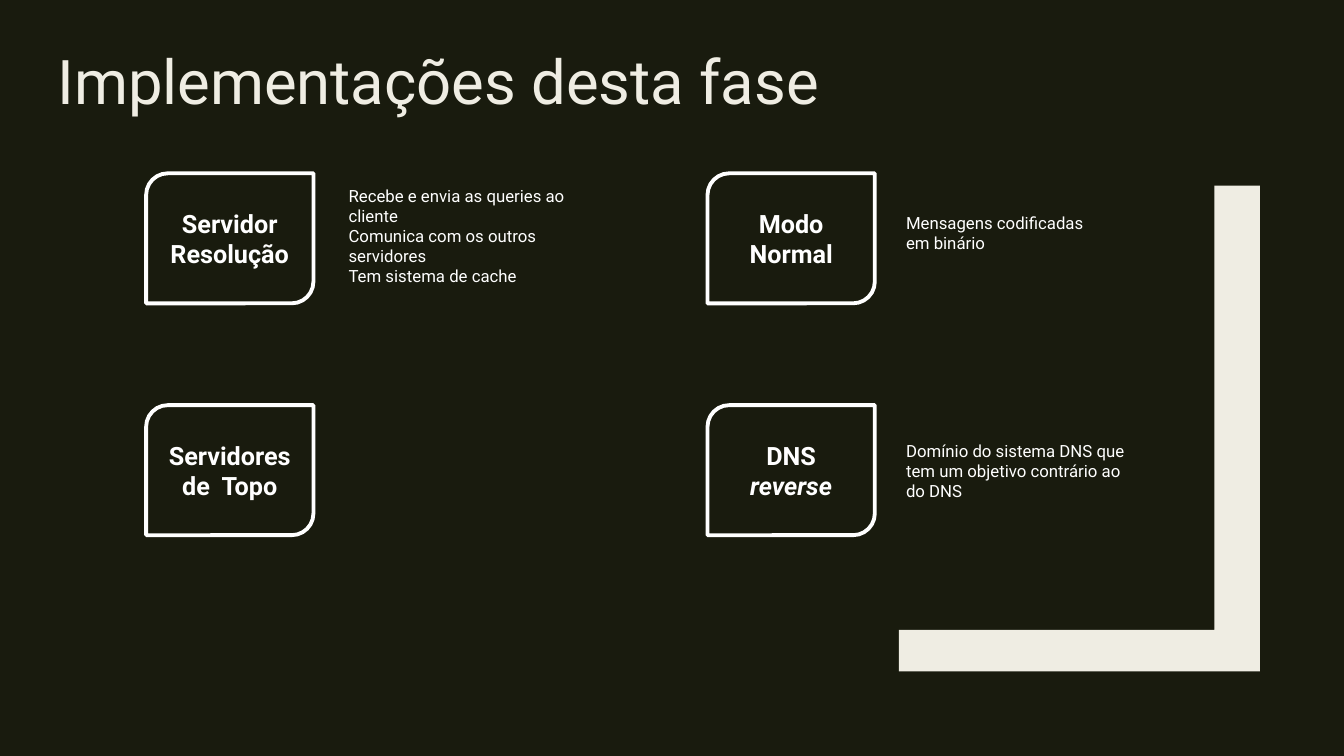
from pptx import Presentation
from pptx.dml.color import RGBColor
from pptx.enum.shapes import MSO_SHAPE as Shape
from pptx.enum.text import MSO_ANCHOR as Anchor, MSO_AUTO_SIZE as AutoSize, PP_ALIGN as Align
from pptx.util import Pt

DARK = RGBColor(0x19, 0x1B, 0x0E)
CREAM = RGBColor(0xEF, 0xED, 0xE3)
WHITE = RGBColor(0xFF, 0xFF, 0xFF)
FONT = "Roboto"

COLUMNS = (104.4, 505.4)
ROWS = (123.8, 289.4)
CARD_WIDTH, CARD_HEIGHT = 119.5, 92.9

# column, row, lines of the label, description and its box (offset x, offset y, width, height)
TOPICS = [
    (0, 0, [["Servidor"], ["Resolução"]],
     ["Recebe e envia as queries ao cliente",
      "Comunica com os outros servidores",
      "Tem sistema de cache"], (137.5, 5.1, 170.6, 79.9)),
    (0, 1, [["Servidores de  Topo"]], None, None),
    (1, 0, [["Modo Normal"]],
     ["Mensagens codificadas em binário"], (134.7, 24.5, 156.2, 36)),
    (1, 1, [["DNS ", "reverse"]],
     ["Domínio do sistema DNS que tem um objetivo contrário ao do DNS"],
     (134.7, 21.6, 171.4, 51.1)),
]


def style_run(run, size, color, bold=False):
    run.font.name = FONT
    run.font.size = Pt(size)
    run.font.color.rgb = color
    run.font.bold = bold


def add_corner(slide, left, top, width, height, post=32.4, foot=29.7):
    """Draw the L-shaped bracket that opens to the upper left."""
    right, bottom = left + width, top + height
    outline = [(right, top), (right, bottom), (left, bottom),
               (left, bottom - foot), (right - post, bottom - foot)]
    builder = slide.shapes.build_freeform(Pt(right - post), Pt(top))
    builder.add_line_segments([(Pt(x), Pt(y)) for x, y in outline])
    corner = builder.convert_to_shape()
    corner.shadow.inherit = False
    corner.fill.solid()
    corner.fill.fore_color.rgb = CREAM
    corner.line.fill.background()


def add_title(slide, left, top, width, height):
    title = slide.shapes.title
    title.left, title.top, title.width, title.height = map(Pt, (left, top, width, height))
    frame = title.text_frame
    frame.text = "Implementações desta fase"
    frame.vertical_anchor = Anchor.TOP
    frame.auto_size = AutoSize.NONE
    heading = frame.paragraphs[0]
    heading.alignment = Align.LEFT
    heading.line_spacing = 1.12
    style_run(heading.runs[0], 44, CREAM)


def add_card(slide, left, top, label):
    """Draw an outlined card; the second run of a label line is italic."""
    card = slide.shapes.add_shape(Shape.ROUND_2_DIAG_RECTANGLE, Pt(left), Pt(top),
                                  Pt(CARD_WIDTH), Pt(CARD_HEIGHT))
    card.shadow.inherit = False
    card.fill.background()
    card.line.color.rgb = WHITE
    card.line.width = Pt(2.75)
    frame = card.text_frame
    frame.word_wrap = True
    frame.vertical_anchor = Anchor.MIDDLE
    for index, pieces in enumerate(label):
        line = frame.add_paragraph() if index else frame.paragraphs[0]
        line.alignment = Align.CENTER
        for position, piece in enumerate(pieces):
            run = line.add_run()
            run.text = piece
            style_run(run, 18, WHITE, bold=True)
            run.font.italic = position > 0


def add_description(slide, left, top, width, height, sentences):
    description = slide.shapes.add_textbox(Pt(left), Pt(top), Pt(width), Pt(height))
    frame = description.text_frame
    frame.word_wrap = True
    frame.auto_size = AutoSize.SHAPE_TO_FIT_TEXT
    frame.text = "\n".join(sentences)
    for sentence in frame.paragraphs:
        style_run(sentence.runs[0], 12, WHITE)


def add_topic(slide, left, top, label, sentences, box):
    add_card(slide, left, top, label)
    if sentences:
        dx, dy, width, height = box
        add_description(slide, left + dx, top + dy, width, height, sentences)


def main():
    deck = Presentation()
    deck.slide_width, deck.slide_height = Pt(960), Pt(540)
    slide = deck.slides.add_slide(deck.slide_layouts.get_by_name("Title Only"))
    slide.background.fill.solid()
    slide.background.fill.fore_color.rgb = DARK
    add_corner(slide, 642.1, 132.7, 257.8, 346.9)
    add_title(slide, 33.8, 20.9, 756.7, 90)
    for column, row, label, sentences, box in TOPICS:
        add_topic(slide, COLUMNS[column], ROWS[row], label, sentences, box)
    deck.save("out.pptx")


if __name__ == "__main__":
    main()
